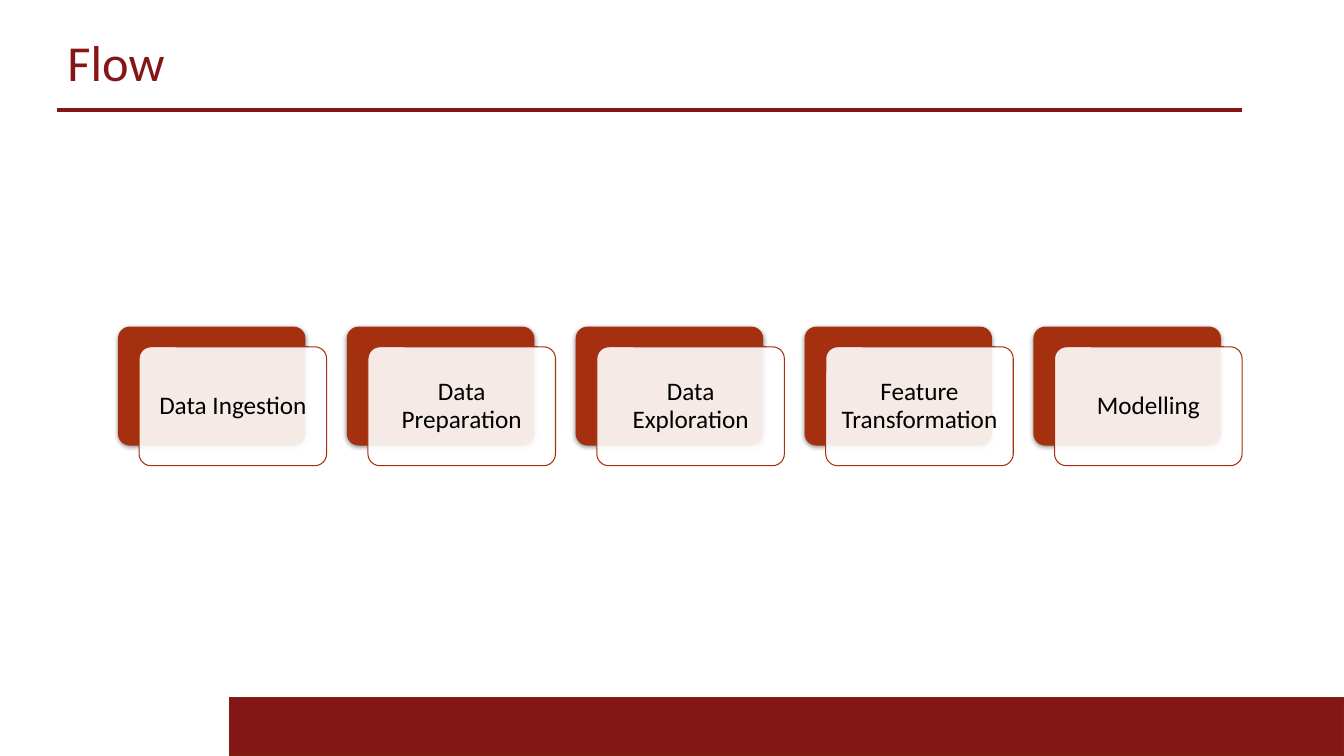
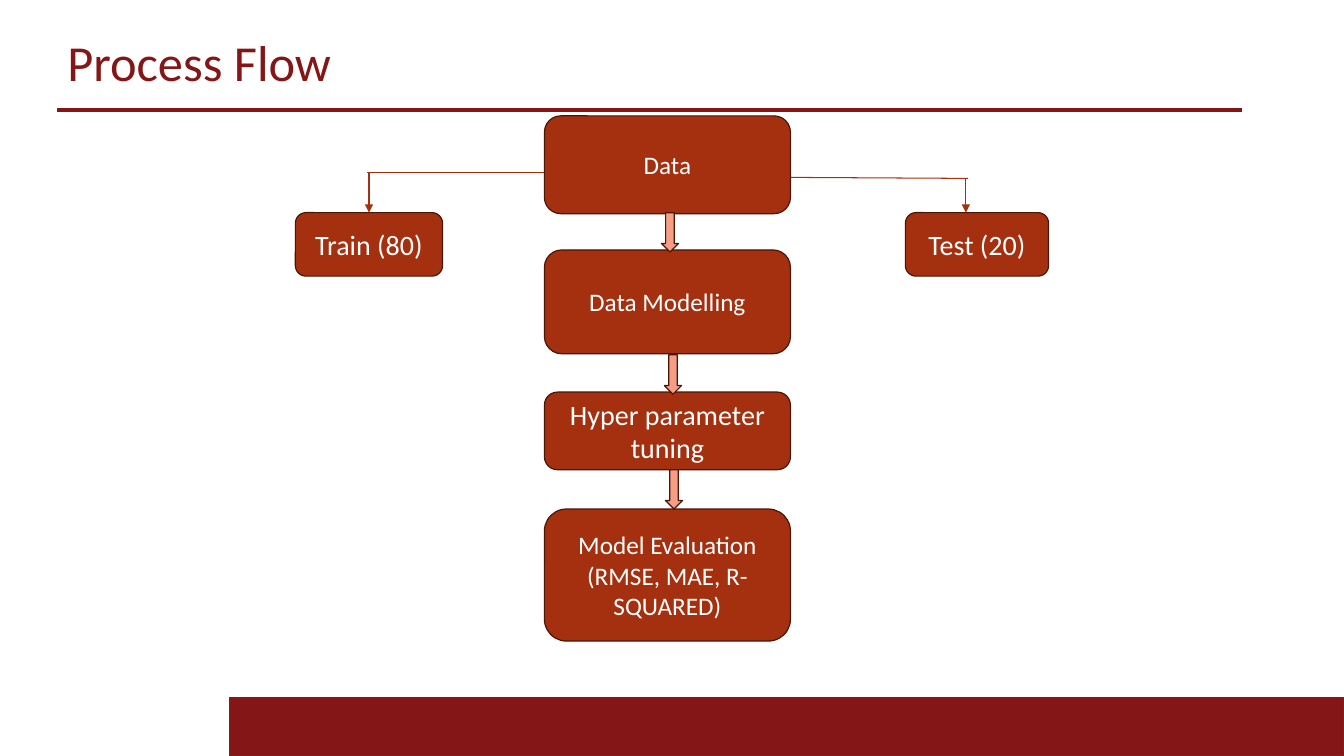
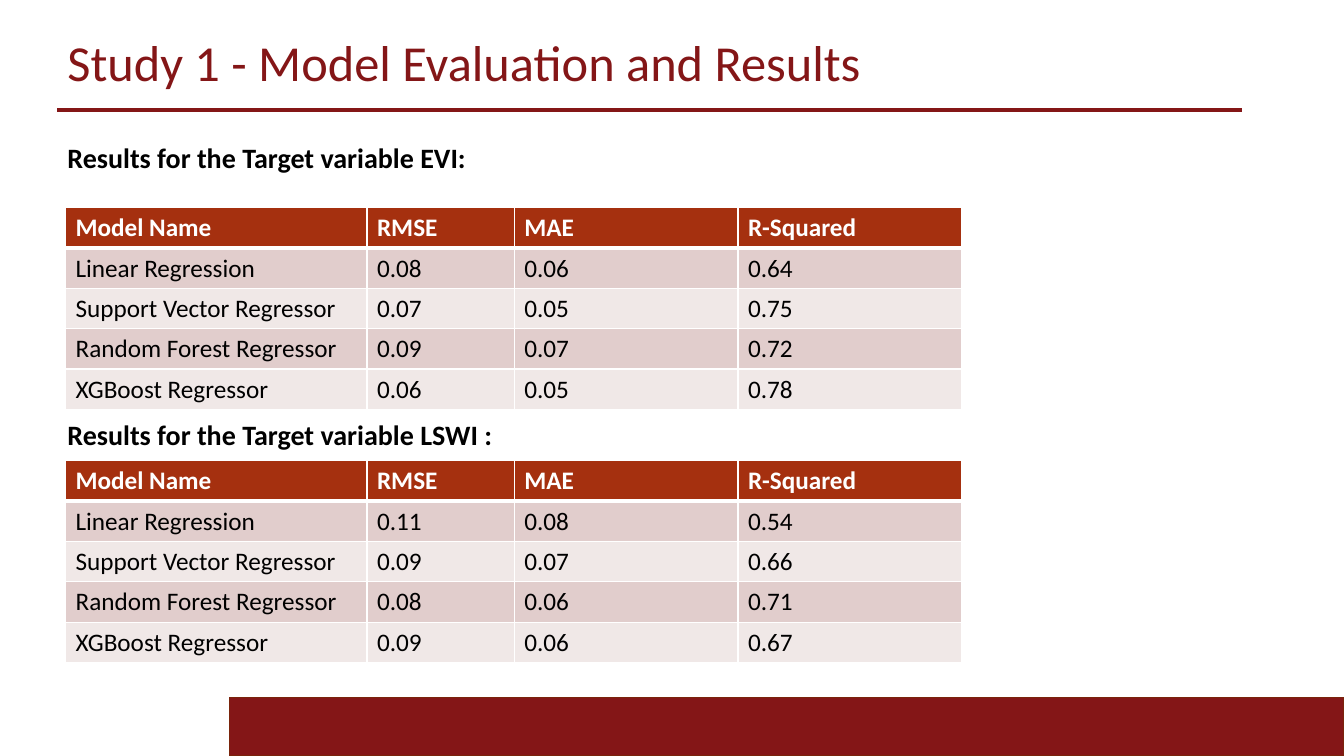
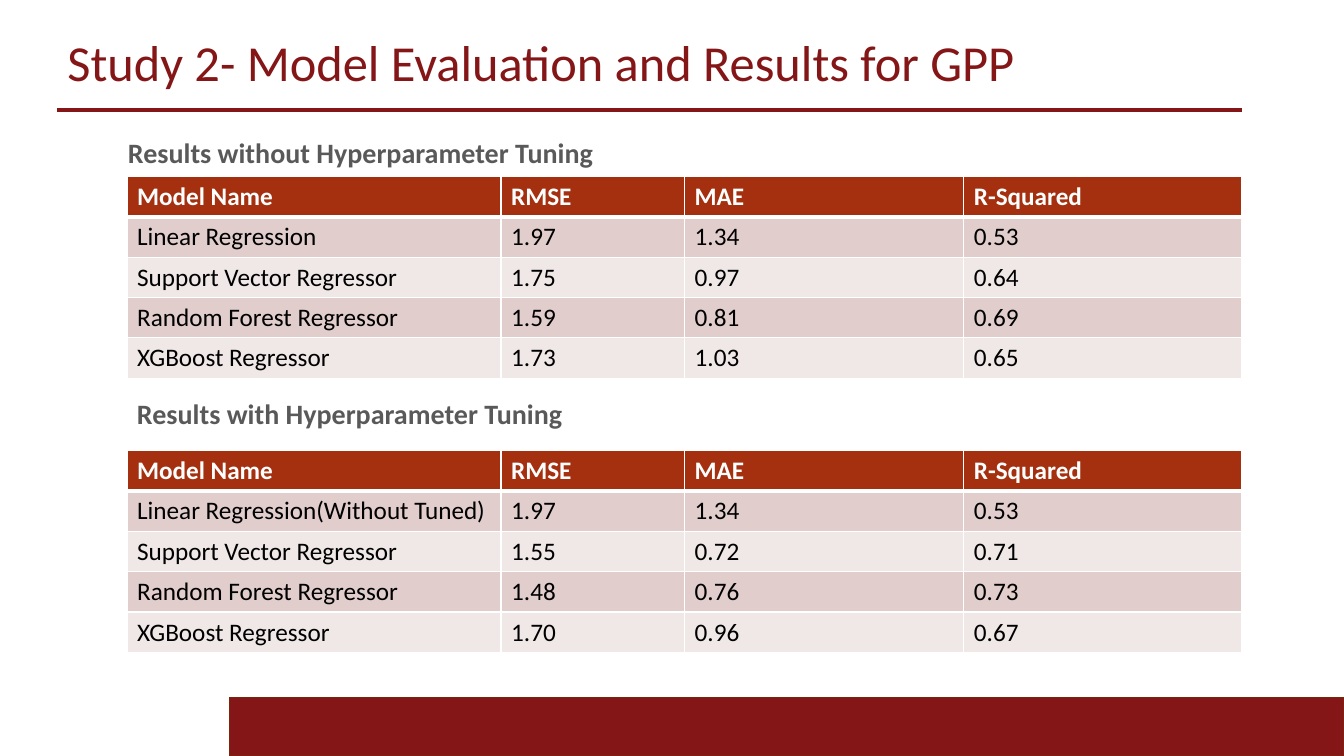
from lxml.etree import SubElement
from pptx import Presentation
from pptx.dml.color import RGBColor
from pptx.enum.shapes import MSO_CONNECTOR, MSO_SHAPE
from pptx.enum.text import MSO_ANCHOR, PP_ALIGN
from pptx.oxml.ns import qn
from pptx.util import Emu, Pt

FONT = "Calibri"
WINE = "841617"
RUST = "A5300F"
EDGE = "481507"
PEACH = "F49E86"
BLACK = "000000"
WHITE = "FFFFFF"
GREY = "595959"
BANDS = ("E1CDCC", "F0E8E7")
HEAD = ("Model Name", "RMSE", "MAE", "R-Squared")
ROW = 40


def px(num):
    return Emu(num * 9144)


def color(code):
    return RGBColor.from_string(code)


def sub(node, tag, **attrs):
    return SubElement(node, qn(tag), attrs)


def style(frame, size, tint, bold=False, align=PP_ALIGN.LEFT, lead=None):
    frame.word_wrap = True
    frame.vertical_anchor = MSO_ANCHOR.MIDDLE
    for para in frame.paragraphs:
        para.alignment = align
        if lead:
            para.line_spacing = lead
        for run in para.runs:
            run.font.name = FONT
            run.font.size = Pt(size)
            run.font.bold = bold
            run.font.color.rgb = color(tint)


def label(slide, text, x, y, w, h, size=20, tint=BLACK, bold=True):
    box = slide.shapes.add_textbox(px(x), px(y), px(w), px(h))
    box.text_frame.text = text
    style(box.text_frame, size, tint, bold, lead=0.9)


def block(slide, kind, x, y, w, h, fill, edge=None, thick=0.85):
    shape = slide.shapes.add_shape(kind, px(x), px(y), px(w), px(h))
    shape.shadow.inherit = False
    shape.fill.solid()
    shape.fill.fore_color.rgb = color(fill)
    if edge:
        shape.line.color.rgb = color(edge)
        shape.line.width = Pt(thick)
    else:
        shape.line.fill.background()
    return shape


def line(slide, x1, y1, x2, y2, tint=RUST, thick=0.75, arrow=False):
    link = slide.shapes.add_connector(
        MSO_CONNECTOR.STRAIGHT, px(x1), px(y1), px(x2), px(y2))
    link.line.color.rgb = color(tint)
    link.line.width = Pt(thick)
    if arrow:
        sub(link.line._get_or_add_ln(), "a:tailEnd", type="triangle")
    sub(link._element.spPr, "a:effectLst")
    return link


def page(deck, title):
    slide = deck.slides.add_slide(deck.slide_layouts[6])
    block(slide, MSO_SHAPE.RECTANGLE, 228, 692, 1105, 58, WINE, "7A240B")
    line(slide, 57, 109, 1232, 109, WINE, 2.5)
    label(slide, title, 57, 29, 1171, 71, 36, WINE, False)
    return slide


def shade(shape):
    glow = sub(shape._element.spPr.find(qn("a:effectLst")), "a:outerShdw",
               blurRad=str(Pt(3.5)), dist=str(Pt(1.1)), dir="5400000",
               algn="ctr", rotWithShape="0")
    tone = sub(glow, "a:srgbClr", val=BLACK)
    sub(tone, "a:alpha", val="45000")


def card(slide, text, x, y):
    kind = MSO_SHAPE.ROUNDED_RECTANGLE
    back = block(slide, kind, x, y, 186, 118, RUST)
    shade(back)
    face = block(slide, kind, x + 21, y + 20, 186, 118, WHITE, RUST, 0.75)
    tone = face._element.spPr.find(qn("a:solidFill"))[0]
    sub(tone, "a:alpha", val="90000")
    for shape in (back, face):
        shape.adjustments[0] = 0.1
    frame = face.text_frame
    frame.margin_left = frame.margin_right = px(7)
    frame.margin_top = frame.margin_bottom = px(7)
    frame.text = text
    style(frame, 18, BLACK, align=PP_ALIGN.CENTER, lead=0.9)


def node(slide, text, x, y, w, h, size):
    box = block(slide, MSO_SHAPE.ROUNDED_RECTANGLE, x, y, w, h, RUST, EDGE)
    box.text_frame.text = text
    style(box.text_frame, size, WHITE, align=PP_ALIGN.CENTER)
    return box


def border(cell, top, base):
    props = cell._tc.get_or_add_tcPr()
    for side, thick in (("L", 1), ("R", 1), ("T", top), ("B", base)):
        edge = sub(props, "a:ln" + side, w=str(Pt(thick)))
        sub(sub(edge, "a:solidFill"), "a:srgbClr", val=WHITE)


def table(slide, x, y, widths, rows):
    data = (HEAD, *rows)
    grid = slide.shapes.add_table(
        len(data), len(widths), px(x), px(y),
        px(sum(widths)), px(ROW * len(data))).table
    for col, width in zip(grid.columns, widths):
        col.width = px(width)
    for i, row in enumerate(data):
        grid.rows[i].height = px(ROW)
        for j, text in enumerate(row):
            cell = grid.cell(i, j)
            border(cell, 3 if i == 1 else 1, 1 if i else 3)
            cell.fill.solid()
            cell.fill.fore_color.rgb = color(BANDS[(i - 1) % 2] if i else RUST)
            cell.text = text
            style(cell.text_frame, 18, BLACK if i else WHITE, not i)
            cell.vertical_anchor = MSO_ANCHOR.TOP


def flow(deck):
    slide = page(deck, "Flow")
    steps = ("Data Ingestion", "Data Preparation", "Data Exploration",
             "Feature Transformation", "Modelling")
    for i, text in enumerate(steps):
        card(slide, text, 117 + 227 * i, 324)


def process(deck):
    slide = page(deck, "Process Flow")
    train = node(slide, "Train (80)", 293, 211, 146, 63, 20)
    node(slide, "Test (20)", 898, 211, 142, 63, 20)
    line(slide, 364, 171, 540, 171, thick=0.85)
    line(slide, 366, 171, 366, 211, arrow=True).end_connect(train, 0)
    line(slide, 784, 176, 960, 177)
    line(slide, 958, 177, 958, 211, arrow=True)
    stages = (
        ("Data", 115, 97, 18),
        ("Data Modelling", 248, 103, 18),
        ("Hyper parameter tuning", 389, 77, 20),
        ("Model Evaluation\n(RMSE, MAE, R-SQUARED)", 505, 131, 18),
    )
    for text, y, h, size in stages:
        node(slide, text, 540, y, 244, h, size)
    for x, y in ((656, 211), (659, 352), (660, 466)):
        block(slide, MSO_SHAPE.DOWN_ARROW, x, y, 17, 39, PEACH, EDGE)


def first(deck):
    slide = page(deck, "Study 1 - Model Evaluation and Results")
    widths = (299, 146, 222, 222)
    label(slide, "Results for the Target variable EVI:", 57, 127, 1175, 63)
    table(slide, 65, 206, widths, (
        ("Linear Regression", "0.08", "0.06", "0.64"),
        ("Support Vector Regressor", "0.07", "0.05", "0.75"),
        ("Random Forest Regressor", "0.09", "0.07", "0.72"),
        ("XGBoost Regressor", "0.06", "0.05", "0.78"),
    ))
    label(slide, "Results for the Target variable LSWI :", 57, 411, 675, 44)
    table(slide, 65, 457, widths, (
        ("Linear Regression", "0.11", "0.08", "0.54"),
        ("Support Vector Regressor", "0.09", "0.07", "0.66"),
        ("Random Forest Regressor", "0.08", "0.06", "0.71"),
        ("XGBoost Regressor", "0.09", "0.06", "0.67"),
    ))


def second(deck):
    slide = page(deck, "Study 2- Model Evaluation and Results for GPP")
    widths = (371, 182, 277, 276)
    label(slide, "Results without Hyperparameter Tuning",
          117, 133, 1115, 40, tint=GREY)
    table(slide, 126, 175, widths, (
        ("Linear Regression", "1.97", "1.34", "0.53"),
        ("Support Vector Regressor", "1.75", "0.97", "0.64"),
        ("Random Forest Regressor", "1.59", "0.81", "0.69"),
        ("XGBoost Regressor", "1.73", "1.03", "0.65"),
    ))
    label(slide, "Results with Hyperparameter Tuning",
          126, 392, 675, 40, tint=GREY)
    table(slide, 126, 447, widths, (
        ("Linear Regression(Without Tuned)", "1.97", "1.34", "0.53"),
        ("Support Vector Regressor", "1.55", "0.72", "0.71"),
        ("Random Forest Regressor", "1.48", "0.76", "0.73"),
        ("XGBoost Regressor", "1.70", "0.96", "0.67"),
    ))


def main():
    deck = Presentation()
    deck.slide_width = px(1333)
    deck.slide_height = px(750)
    for build in (flow, process, first, second):
        build(deck)
    deck.save("out.pptx")


if __name__ == "__main__":
    main()
